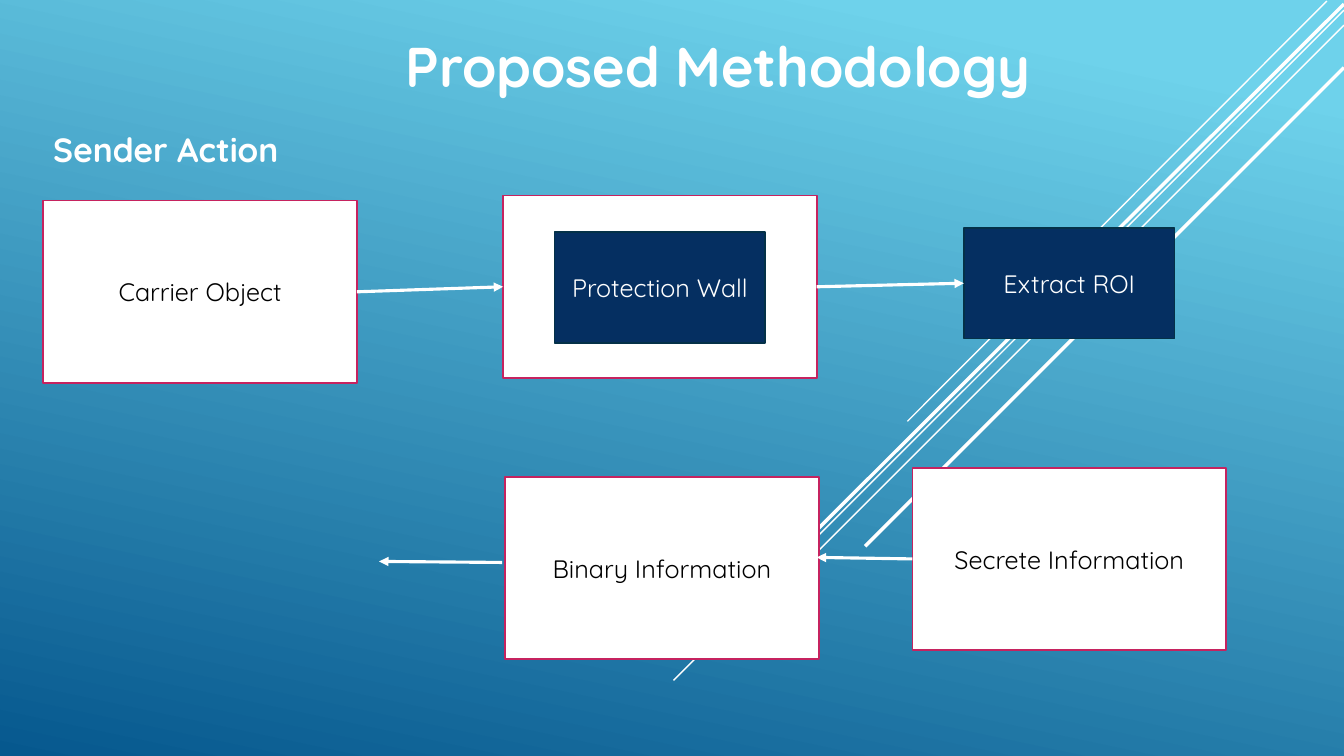
import pptx
import pptx.util
import pptx.dml.color
import pptx.enum.shapes
import pptx.enum.text
import pptx.oxml
import pptx.oxml.ns
from pptx.util import Inches, Pt

RGBColor = pptx.dml.color.RGBColor
WHITE = RGBColor(0xFF, 0xFF, 0xFF)
BLACK = RGBColor(0x00, 0x00, 0x00)
SKY = RGBColor(0x6E, 0xD2, 0xEB)
OCEAN = RGBColor(0x06, 0x58, 0x8E)
CRIMSON = RGBColor(0xC6, 0x23, 0x5F)
NAVY = RGBColor(0x05, 0x2F, 0x61)
NAVY_EDGE = RGBColor(0x04, 0x31, 0x48)
FONT = "Quicksand"
RIGHT, LEFT = 3, 1


def write(frame, text, size, color, bold=False):
    frame.text = text
    font = frame.paragraphs[0].runs[0].font
    font.name, font.size, font.bold = FONT, Pt(size), bold
    font.color.rgb = color


def draw_line(start, end, width, arrow=False):
    line = slide.shapes.add_connector(
        pptx.enum.shapes.MSO_CONNECTOR.STRAIGHT, *map(Inches, start + end))
    line.line.color.rgb = WHITE
    line.line.width = Pt(width)
    properties = line._element.spPr
    if arrow:
        tail = pptx.oxml.ns.qn("a:tailEnd")
        line.line._get_or_add_ln().append(
            properties.makeelement(tail, {"type": "triangle"}))
    properties.append(properties.makeelement(pptx.oxml.ns.qn("a:effectLst"), {}))
    return line


presentation = pptx.Presentation()
presentation.slide_width = Inches(13.33)
presentation.slide_height = Inches(7.5)
slide = presentation.slides.add_slide(presentation.slide_layouts[5])

background = slide.background.fill
background.gradient()
background.gradient_angle = 360 - 102
for stop, color, position in zip(background.gradient_stops, (SKY, OCEAN), (0.1, 1)):
    stop.color.rgb = color
    stop.position = position

for start, end, width in [
    ((13.16, 0.01), (9, 4.18), 1),
    ((13.33, 0.1), (6.68, 6.75), 1),
    ((13.33, 0.25), (7.91, 5.67), 1),
    ((13.33, 0.04), (8.02, 5.34), 2.5),
    ((13.33, 0.67), (8.58, 5.42), 2.5),
]:
    draw_line(start, end, width)

title = slide.shapes.title
title.left, title.top, title.width, title.height = map(Inches, (2.48, 0.26, 9.28, 0.71))
title.text_frame.auto_size = pptx.enum.text.MSO_AUTO_SIZE.NONE
title.text_frame.vertical_anchor = pptx.enum.text.MSO_ANCHOR.TOP
write(title.text_frame, "Proposed Methodology", 40, WHITE, True)
title.text_frame.paragraphs[0].alignment = pptx.enum.text.PP_ALIGN.CENTER

CARD = (3.11, 1.81, WHITE, CRIMSON, BLACK)
STEP = (2.09, 1.1, NAVY, NAVY_EDGE, WHITE)
boxes = {}
for name, left, top, style in [
    ("Carrier Object", 0.43, 1.99, CARD),
    ("", 4.99, 1.94, CARD),
    ("Protection Wall", 5.5, 2.3, STEP),
    ("Extract ROI", 9.56, 2.26, STEP),
    ("Secrete Information", 9.05, 4.64, CARD),
    ("Binary Information", 5.01, 4.73, CARD),
]:
    width, height, fill, edge, ink = style
    box = slide.shapes.add_shape(
        pptx.enum.shapes.MSO_SHAPE.RECTANGLE, *map(Inches, (left, top, width, height)))
    box.shadow.inherit = False
    box.fill.solid()
    box.fill.fore_color.rgb = fill
    box.line.color.rgb = edge
    box.line.width = Pt(1.25)
    if name:
        write(box.text_frame, name, 18, ink)
        box.text_frame.vertical_anchor = pptx.enum.text.MSO_ANCHOR.MIDDLE
        box.text_frame.paragraphs[0].alignment = pptx.enum.text.PP_ALIGN.CENTER
    boxes[name] = box

wall_frame = boxes[""]
carrier_to_wall = draw_line((3.54, 2.85), (4.99, 2.89), 2.25, True)
carrier_to_wall.begin_connect(boxes["Carrier Object"], RIGHT)
carrier_to_wall.end_connect(wall_frame, LEFT)
wall_to_roi = draw_line((8.12, 2.81), (9.56, 2.85), 2.25, True)
wall_to_roi.begin_connect(wall_frame, RIGHT)
wall_to_roi.end_connect(boxes["Extract ROI"], LEFT)
secret_to_binary = draw_line((9.05, 5.55), (8.1, 5.53), 2.25, True)
secret_to_binary.begin_connect(boxes["Secrete Information"], LEFT)
draw_line((4.98, 5.58), (3.76, 5.57), 2.25, True)

sender = slide.shapes.add_textbox(*map(Inches, (0.43, 1.23, 2.84, 0.5)))
sender.text_frame.word_wrap = True
sender.text_frame.auto_size = pptx.enum.text.MSO_AUTO_SIZE.SHAPE_TO_FIT_TEXT
write(sender.text_frame, "Sender Action", 24, WHITE, True)

presentation.save("out.pptx")
